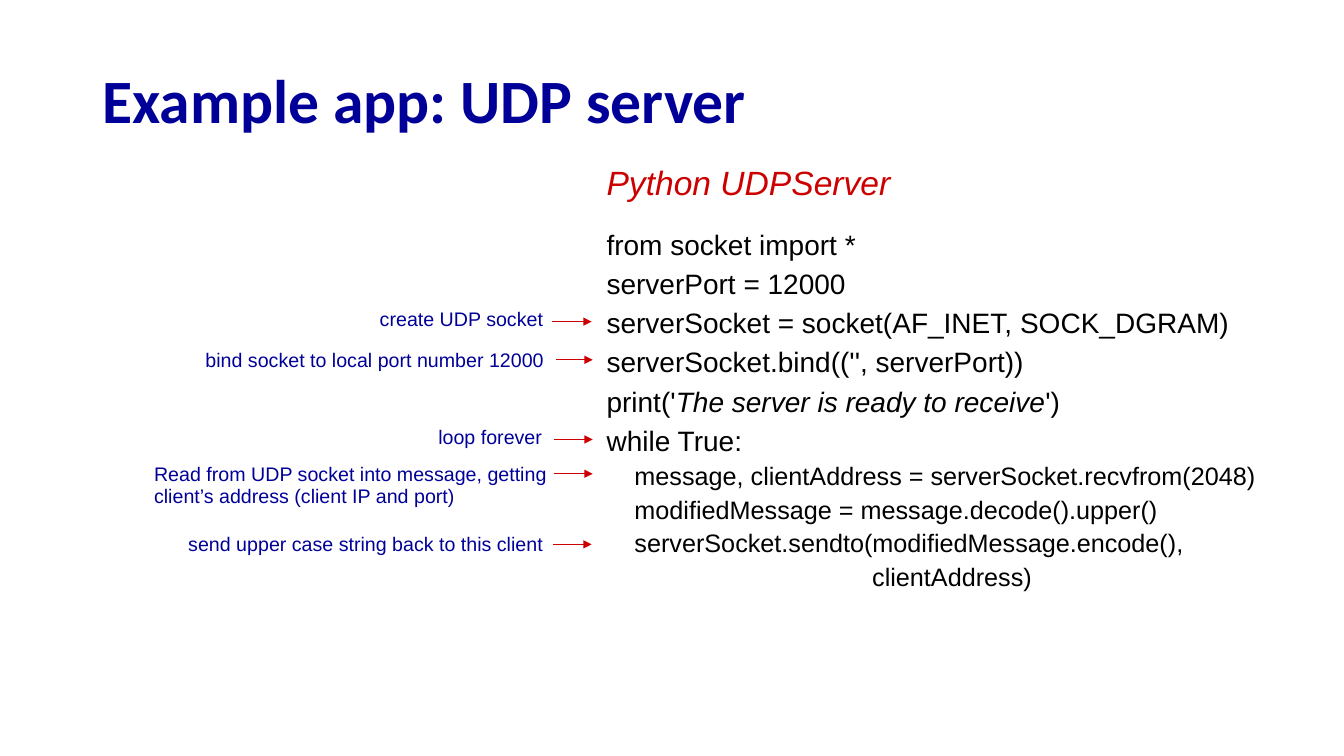
from lxml.etree import SubElement
from pptx import Presentation
from pptx.dml.color import RGBColor
from pptx.enum.shapes import MSO_CONNECTOR
from pptx.enum.text import MSO_ANCHOR, MSO_AUTO_SIZE, PP_ALIGN
from pptx.oxml.ns import qn
from pptx.util import Pt

COLORS = {"navy": "000099", "red": "CC0000", "black": "000000"}

# Each line is split into plain and italic parts, in turn.
SETUP_CODE = [
    ["from socket import *"],
    ["serverPort = 12000"],
    ["serverSocket = socket(AF_INET, SOCK_DGRAM)"],
    ["serverSocket.bind(('', serverPort))"],
    ["print('", "The server is ready to receive", "')"],
    ["while True:"],
]
LOOP_CODE = [
    ["    message, clientAddress = serverSocket.recvfrom(2048)"],
    ["    modifiedMessage = message.decode().upper()"],
    ["    serverSocket.sendto(modifiedMessage.encode(),"],
    ["                                      clientAddress)"],
]

# Note, its box (left, top, width, height), line spacing, arrow start, end and height
NOTES = [
    ("create UDP socket", (264.2, 216, 201.6, 24.2), None, (394.6, 422.6, 229.7)),
    ("bind socket to local port number 12000", (139.7, 244.8, 283.7, 24.2), None,
     (397.4, 423.4, 257)),
    ("loop forever", (306, 301, 94.3, 23.8), 16, (396, 423.4, 313.9)),
    ("Read from UDP socket into message, getting client’s address (client IP and port)",
     (103, 326.9, 302.4, 39.6), 16, (396, 423.4, 338.4)),
    ("send upper case string back to this client", (127.4, 376.6, 302.4, 24.2), None,
     (395.3, 422.6, 388.8)),
]


def color(name):
    return RGBColor.from_string(COLORS[name])


def style(paragraph, size, color_name, font="Arial", line_spacing=None):
    paragraph.font.name = font
    paragraph.font.size = Pt(size)
    paragraph.font.color.rgb = color(color_name)
    if line_spacing:
        paragraph.line_spacing = Pt(line_spacing)


def add_text_frame(shapes, box, wrap):
    frame = shapes.add_textbox(*map(Pt, box)).text_frame
    frame.word_wrap = wrap
    frame.auto_size = MSO_AUTO_SIZE.SHAPE_TO_FIT_TEXT
    return frame


def add_title(slide, text):
    title = slide.shapes.title
    title.left, title.top, title.width, title.height = map(Pt, (66, 35.3, 828, 70.6))
    title.text_frame.text = text
    title.text_frame.vertical_anchor = MSO_ANCHOR.MIDDLE
    heading = title.text_frame.paragraphs[0]
    heading.alignment = PP_ALIGN.LEFT
    style(heading, 44, "navy", "Calibri")
    heading.font.bold = True


def add_program_name(slide, text):
    name = add_text_frame(slide.shapes, (426.2, 112.3, 219.6, 36), False).paragraphs[0]
    name.text = text
    style(name, 24, "red")
    name.font.italic = True


def add_code(slide):
    frame = add_text_frame(slide.shapes, (426.2, 154.8, 482.4, 272.2), False)
    lines = [(parts, 20, 28) for parts in SETUP_CODE]
    lines += [(parts, 18, 24) for parts in LOOP_CODE]
    for number, (parts, size, spacing) in enumerate(lines):
        line = frame.add_paragraph() if number else frame.paragraphs[0]
        style(line, size, "black", line_spacing=spacing)
        for position, part in enumerate(parts):
            run = line.add_run()
            run.text = part
            if position % 2:
                run.font.italic = True


def add_arrow(shapes, start, end, height):
    arrow = shapes.add_connector(
        MSO_CONNECTOR.STRAIGHT, Pt(start), Pt(height), Pt(end), Pt(height))
    arrow.line.color.rgb = color("red")
    arrow.line.width = Pt(1)
    SubElement(arrow.line._get_or_add_ln(), qn("a:tailEnd"), type="triangle")
    SubElement(arrow._element.spPr, qn("a:effectLst"))


def add_note(slide, text, box, spacing, arrow):
    shapes = slide.shapes.add_group_shape().shapes
    note = add_text_frame(shapes, box, True).paragraphs[0]
    note.text = text
    style(note, 14, "navy", line_spacing=spacing)
    add_arrow(shapes, *arrow)


def main():
    presentation = Presentation()
    presentation.slide_width, presentation.slide_height = Pt(960), Pt(540)
    slide = presentation.slides.add_slide(presentation.slide_layouts.get_by_name("Title Only"))
    add_title(slide, "Example app: UDP server")
    add_program_name(slide, "Python UDPServer")
    add_code(slide)
    for note in NOTES:
        add_note(slide, *note)
    presentation.save("out.pptx")


if __name__ == "__main__":
    main()
